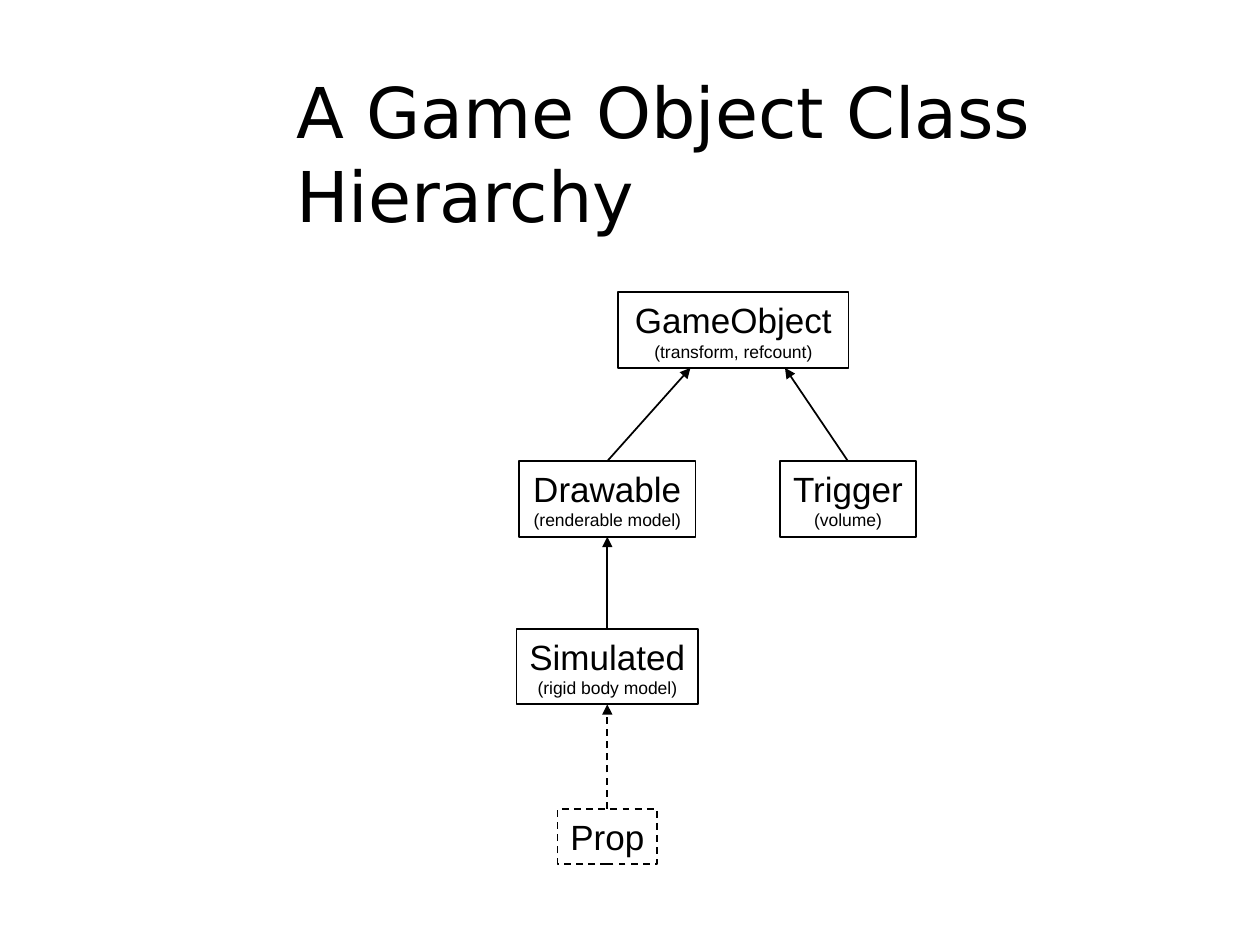
import pptx
import pptx.dml.color
import pptx.enum.dml
import pptx.enum.shapes
import pptx.enum.text
import pptx.oxml.ns
import pptx.util
from lxml import etree

TITLE = "A Game Object Class Hierarchy"
BLACK = "000000"
ROW_TOPS = (2.32, 3.66, 4.99, 6.42)
MAIN_COLUMN, ROOT_COLUMN, SIDE_COLUMN = 4.82, 5.82, 6.73

# name, detail, row, column centre, width, height, dashed, wrapped
CLASSES = [
    ("GameObject", "(transform, refcount)", 0, ROOT_COLUMN, 1.83, 0.6, False, True),
    ("Drawable", "(renderable model)", 1, MAIN_COLUMN, 1.4, 0.6, False, False),
    ("Trigger", "(volume)", 1, SIDE_COLUMN, 1.08, 0.6, False, False),
    ("Simulated", "(rigid body model)", 2, MAIN_COLUMN, 1.44, 0.6, False, False),
    ("Prop", None, 3, MAIN_COLUMN, 0.79, 0.44, True, False),
]
# child, parent, x where the arrow meets the parent (None: middle of its side), dashed
INHERITANCE = [
    ("Drawable", "GameObject", 5.48, False),
    ("Trigger", "GameObject", 6.23, False),
    ("Simulated", "Drawable", None, False),
    ("Prop", "Simulated", None, True),
]
TOP, BOTTOM = 0, 2
inch = pptx.util.Inches
ALIGN = pptx.enum.text.PP_ALIGN


def colour(value):
    return pptx.dml.color.RGBColor.from_string(value)


def write(paragraph, text, size, font="Arial", align=ALIGN.CENTER):
    paragraph.alignment = align
    run = paragraph.add_run()
    run.text = text
    run.font.size = pptx.util.Pt(size)
    run.font.name = font
    run.font.color.rgb = colour(BLACK)


def set_line(line, dashed):
    line.color.rgb = colour(BLACK)
    line.width = pptx.util.Pt(1)
    if dashed:
        line.dash_style = pptx.enum.dml.MSO_LINE.DASH


def add_class(slide, name, detail, row, centre, width, height, dashed, wrapped):
    box = slide.shapes.add_shape(
        pptx.enum.shapes.MSO_SHAPE.RECTANGLE,
        inch(centre - width / 2), inch(ROW_TOPS[row]), inch(width), inch(height))
    box.shadow.inherit = False
    box.fill.background()
    set_line(box.line, dashed)
    frame = box.text_frame
    frame.word_wrap = wrapped
    frame.auto_size = pptx.enum.text.MSO_AUTO_SIZE.SHAPE_TO_FIT_TEXT
    frame.vertical_anchor = pptx.enum.text.MSO_ANCHOR.MIDDLE
    write(frame.paragraphs[0], name, 20)
    if detail:
        write(frame.add_paragraph(), detail, 10)
    return box


def add_inheritance(slide, child, parent, meeting_x, dashed):
    end_x = parent.left + parent.width // 2 if meeting_x is None else inch(meeting_x)
    arrow = slide.shapes.add_connector(
        pptx.enum.shapes.MSO_CONNECTOR.STRAIGHT,
        child.left + child.width // 2, child.top, end_x, parent.top + parent.height)
    arrow.begin_connect(child, TOP)
    if meeting_x is None:
        arrow.end_connect(parent, BOTTOM)
    set_line(arrow.line, dashed)
    qn = pptx.oxml.ns.qn
    properties = arrow._element.spPr
    etree.SubElement(properties.find(qn("a:ln")), qn("a:tailEnd"), type="triangle")
    etree.SubElement(properties, qn("a:effectLst"))


def main():
    deck = pptx.Presentation()
    deck.slide_width, deck.slide_height = inch(10), inch(7.5)
    slide = deck.slides.add_slide(deck.slide_layouts[5])

    title = slide.shapes.title
    title.left, title.top = inch(2.25), inch(0.42)
    title.width, title.height = inch(7.5), inch(1.58)
    title.text_frame.word_wrap = True
    title.text_frame.auto_size = pptx.enum.text.MSO_AUTO_SIZE.NONE
    title.text_frame.vertical_anchor = pptx.enum.text.MSO_ANCHOR.MIDDLE
    write(title.text_frame.paragraphs[0], TITLE, 40, font="DejaVu Sans", align=ALIGN.LEFT)

    boxes = {entry[0]: add_class(slide, *entry) for entry in CLASSES}
    for child, parent, meeting_x, dashed in INHERITANCE:
        add_inheritance(slide, boxes[child], boxes[parent], meeting_x, dashed)
    deck.save("out.pptx")


if __name__ == "__main__":
    main()
